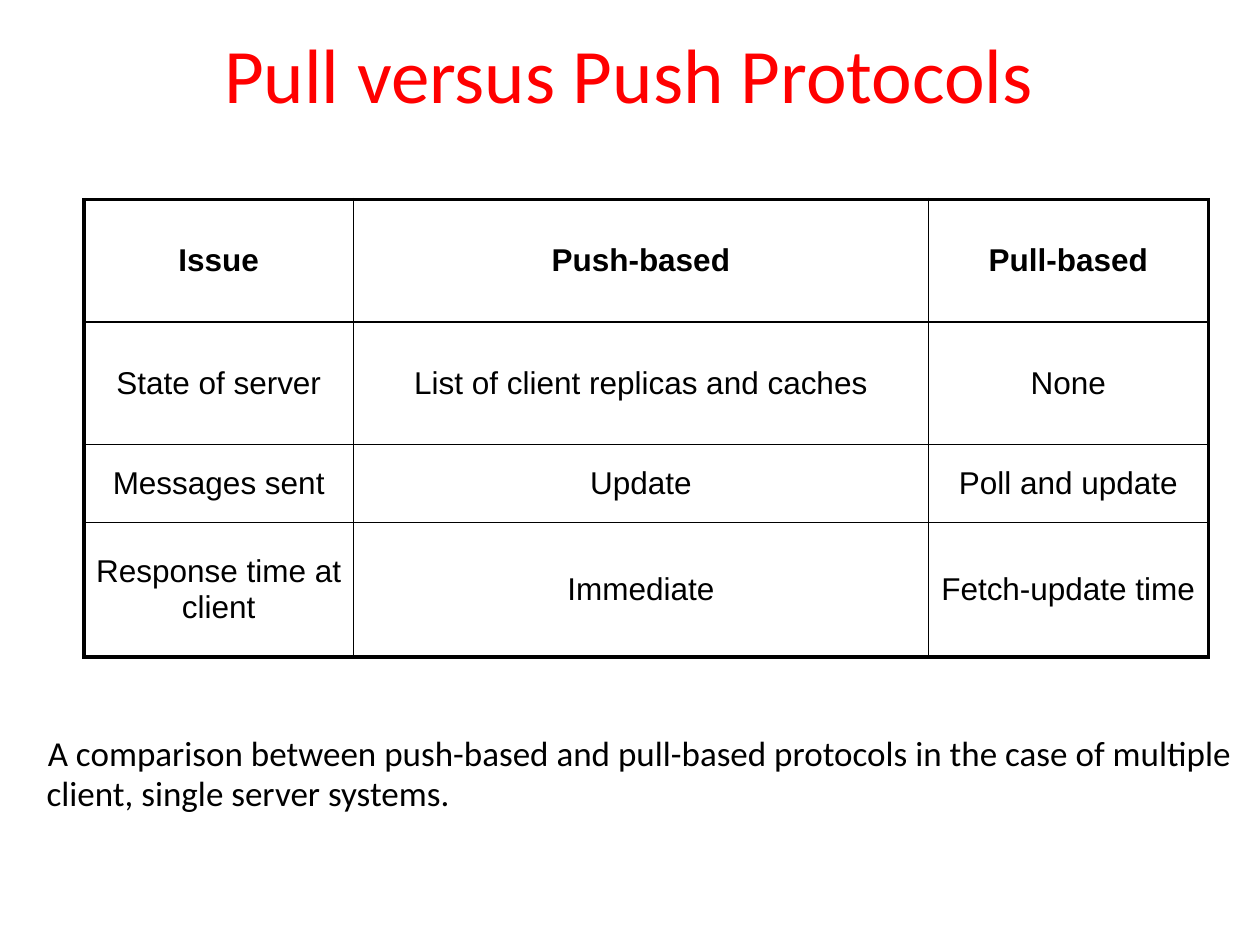
from lxml.etree import SubElement
from pptx import Presentation
from pptx.dml.color import RGBColor
from pptx.enum.text import MSO_ANCHOR, PP_ALIGN
from pptx.oxml.ns import qn
from pptx.util import Pt

BLACK, RED = "000000", "FF0000"
THIN, THICK = 1, 2.25
COLUMN_WIDTHS = [154, 328.5, 160]
ROW_HEIGHTS = [70, 70, 44.5, 77]
ROWS = [
    ["Issue", "Push-based", "Pull-based"],
    ["State of server", "List of client replicas and caches", "None"],
    ["Messages sent", "Update", "Poll and update"],
    ["Response time at client", "Immediate", "Fetch-update time"],
]


def color(hex_string):
    return RGBColor.from_string(hex_string)


def style_run(para, font, size, hex_string, bold=False):
    for span in para.runs:
        span.font.name = font
        span.font.size = Pt(size)
        span.font.bold = bold
        span.font.color.rgb = color(hex_string)


def add_text(page, box, text, size, hex_string, anchor):
    """Add a Calibri text box without margins and return its paragraph."""
    frame = page.shapes.add_textbox(*map(Pt, box)).text_frame
    frame.word_wrap = True
    frame.margin_left = frame.margin_right = Pt(0)
    frame.margin_top = frame.margin_bottom = Pt(0)
    frame.vertical_anchor = anchor
    frame.text = text
    para = frame.paragraphs[0]
    para.line_spacing = 0.94
    style_run(para, "Calibri", size, hex_string)
    return para


def add_title(page, box):
    para = add_text(page, box, "Pull versus Push Protocols", 44, RED, MSO_ANCHOR.MIDDLE)
    para.alignment = PP_ALIGN.CENTER


def add_caption(page, box):
    text = ("A comparison between push-based and pull-based protocols "
            "in the case of multiple client, single server systems.")
    para = add_text(page, box, text, 20, BLACK, MSO_ANCHOR.TOP)
    para.space_before = Pt(5.6)
    properties = para._p.get_or_add_pPr()
    properties.set("marL", str(Pt(26.64)))
    properties.set("indent", str(Pt(0.72)))


def set_borders(cell, widths):
    """Draw the left, right, top and bottom borders, in that order."""
    properties = cell._tc.get_or_add_tcPr()
    for index, (side, width) in enumerate(zip("LRTB", widths)):
        line = SubElement(properties, qn(f"a:ln{side}"), w=str(Pt(width)))
        fill = SubElement(line, qn("a:solidFill"))
        SubElement(fill, qn("a:srgbClr"), val=BLACK)
        properties.insert(index, line)  # borders come before the cell fill


def add_comparison(page, box):
    last_row, last_column = len(ROWS) - 1, len(COLUMN_WIDTHS) - 1
    table = page.shapes.add_table(len(ROWS), len(COLUMN_WIDTHS), *map(Pt, box)).table
    for column, width in zip(table.columns, COLUMN_WIDTHS):
        column.width = Pt(width)
    for row, height in zip(table.rows, ROW_HEIGHTS):
        row.height = Pt(height)

    for r, texts in enumerate(ROWS):
        for c, text in enumerate(texts):
            cell = table.cell(r, c)
            cell.text = text
            cell.vertical_anchor = MSO_ANCHOR.MIDDLE
            cell.margin_left = cell.margin_right = Pt(6)
            cell.fill.background()
            para = cell.text_frame.paragraphs[0]
            para.alignment = PP_ALIGN.CENTER
            style_run(para, "Arial", 18, BLACK, bold=r == 0)
            # Thick lines on the outer edge only
            outer = (c == 0, c == last_column, r == 0, r == last_row)
            set_borders(cell, [THICK if edge else THIN for edge in outer])


def main():
    deck = Presentation()
    deck.slide_width, deck.slide_height = Pt(720), Pt(540)
    page = deck.slides.add_slide(deck.slide_layouts[6])
    add_title(page, (0, 0, 719, 89))
    add_caption(page, (0, 420, 720, 120))
    add_comparison(page, (48, 114, sum(COLUMN_WIDTHS), sum(ROW_HEIGHTS)))
    deck.save("out.pptx")


if __name__ == "__main__":
    main()
